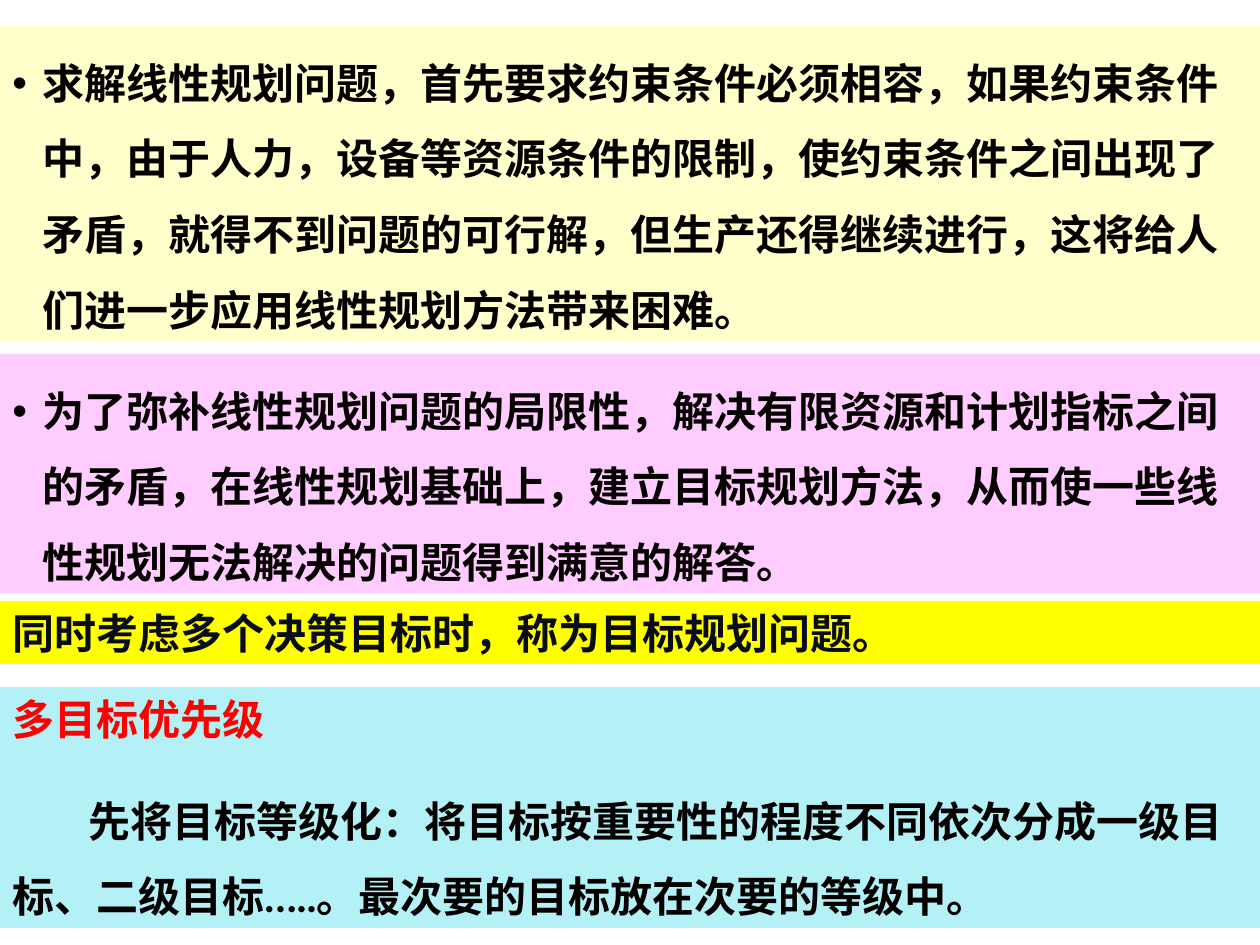
import pptx
import pptx.util
import pptx.dml.color
import pptx.enum.shapes
import pptx.enum.text
import pptx.oxml
import pptx.oxml.ns

COLORS = {
    "cream": "FFFFCC", "pink": "FFCCFF", "yellow": "FFFF00", "cyan": "B3F1F7",
    "black": "040000", "navy": "090D19", "red": "FF0000",
}
WIDTH, HEIGHT = 1260, 945
SCALE = 914400 / 126
HANGING = 30
LATIN, CHINESE = "Lato", "Noto Sans CJK SC"

BANDS = [
    (26, 315, "cream", [
        ("求解线性规划问题，首先要求约束条件必须相容，如果约束条件中，由于人力，设备等资源条件的限制，"
         "使约束条件之间出现了矛盾，就得不到问题的可行解，但生产还得继续进行，"
         "这将给人们进一步应用线性规划方法带来困难。",
         dict(font=CHINESE, spacing=1.5, bullet=True)),
    ]),
    (354, 239, "pink", [
        ("为了弥补线性规划问题的局限性，解决有限资源和计划指标之间的矛盾，在线性规划基础上，"
         "建立目标规划方法，从而使一些线性规划无法解决的问题得到满意的解答。",
         dict(font=CHINESE, spacing=1.5, bullet=True)),
    ]),
    (601, 63, "yellow", [
        ("同时考虑多个决策目标时，称为目标规划问题。", dict(color="navy")),
    ]),
    (687, 241, "cyan", [
        ("多目标优先级", dict(color="red")),
        ("先将目标等级化：将目标按重要性的程度不同依次分成一级目标、二级目标…..。"
         "最次要的目标放在次要的等级中。",
         dict(spacing=1.5, before=15, indent=76)),
    ]),
]


def emu(px):
    return pptx.util.Emu(round(px * SCALE))


def rgb(name):
    return pptx.dml.color.RGBColor.from_string(COLORS[name])


def add_child(parent, xml):
    namespace = pptx.oxml.ns.nsdecls("a")
    parent.append(pptx.oxml.parse_xml(xml.replace("/>", f" {namespace}/>")))


def write(para, text, font=LATIN, color="black", spacing=1.0, before=0, indent=0, bullet=False):
    properties = para._p.get_or_add_pPr()
    if bullet:
        properties.set("marL", str(emu(HANGING)))
        indent = -HANGING
        add_child(properties, '<a:buFont typeface="Arial"/>')
        add_child(properties, '<a:buChar char="•"/>')
    properties.set("indent", str(emu(indent)))
    para.alignment = pptx.enum.text.PP_ALIGN.LEFT
    para.line_spacing = spacing
    para.space_before = pptx.util.Pt(before)
    span = para.add_run()
    span.text = text
    span.font.size = pptx.util.Pt(24)
    span.font.bold = True
    span.font.color.rgb = rgb(color)
    span.font.name = font
    add_child(span._r.get_or_add_rPr(), f'<a:ea typeface="{LATIN}"/>')


def add_band(page, top, height, fill, paragraphs):
    box = page.shapes.add_shape(
        pptx.enum.shapes.MSO_SHAPE.RECTANGLE, 0, emu(top), emu(WIDTH), emu(height))
    box.shadow.inherit = False
    box.fill.solid()
    box.fill.fore_color.rgb = rgb(fill)
    box.line.fill.background()
    frame = box.text_frame
    frame.word_wrap = True
    frame.auto_size = pptx.enum.text.MSO_AUTO_SIZE.SHAPE_TO_FIT_TEXT
    frame.vertical_anchor = pptx.enum.text.MSO_ANCHOR.TOP
    for index, (text, style) in enumerate(paragraphs):
        para = frame.add_paragraph() if index else frame.paragraphs[0]
        write(para, text, **style)


def main():
    deck = pptx.Presentation()
    deck.slide_width, deck.slide_height = emu(WIDTH), emu(HEIGHT)
    page = deck.slides.add_slide(deck.slide_layouts[6])
    for band in BANDS:
        add_band(page, *band)
    deck.save("out.pptx")


if __name__ == "__main__":
    main()
